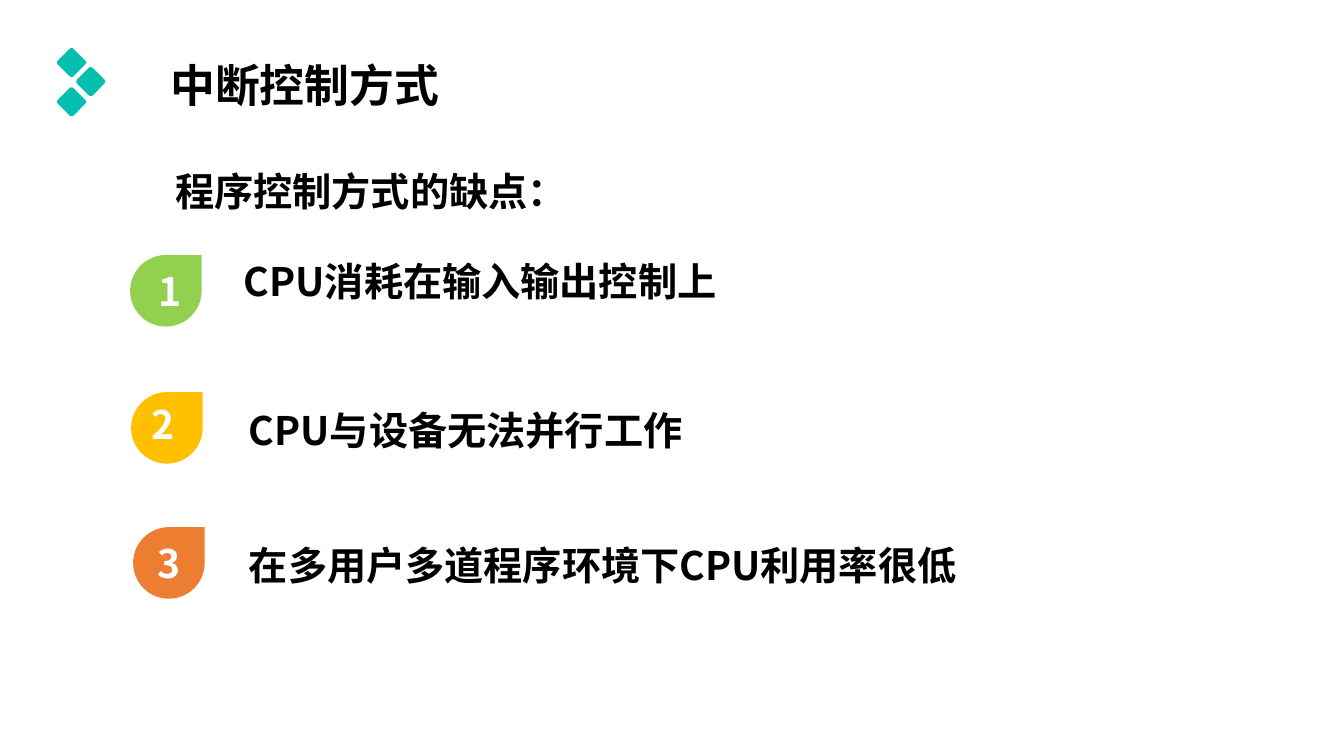
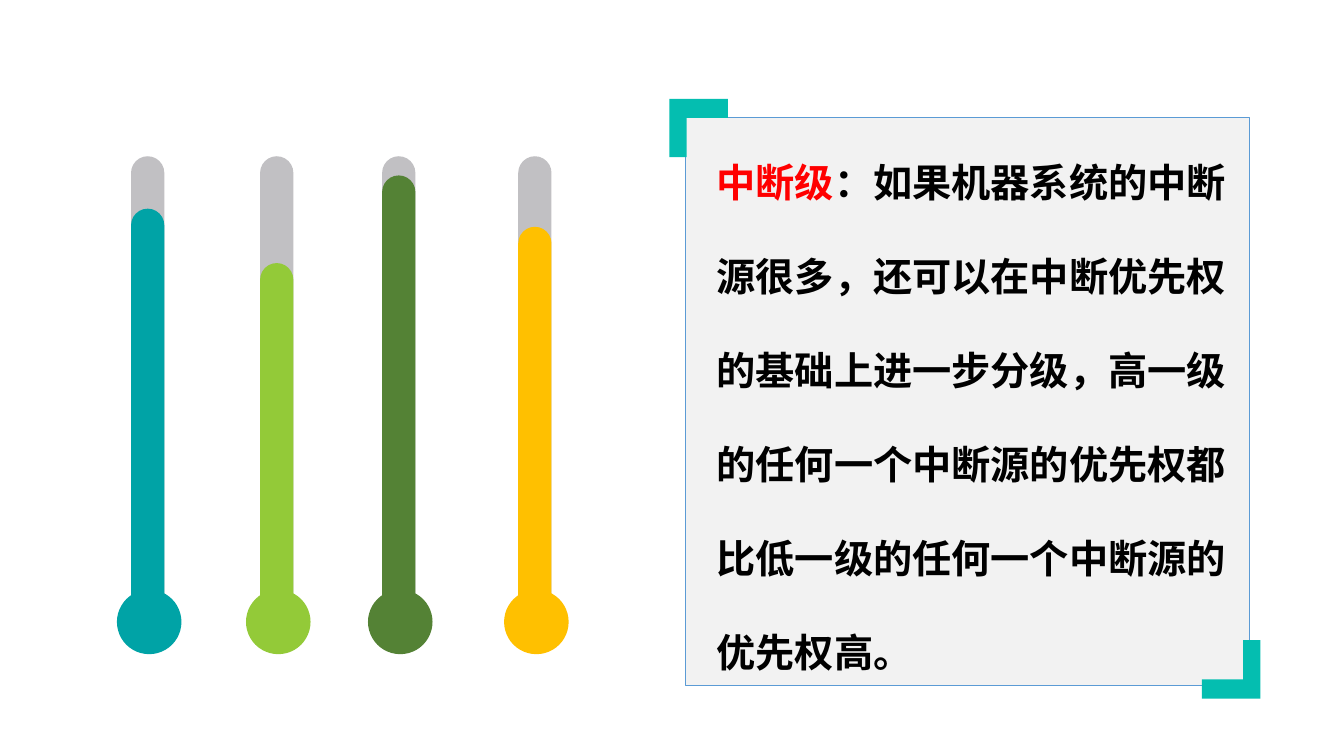
"""Build two slides on interrupt-driven input and output control."""
from dataclasses import dataclass

from lxml.etree import SubElement
from pptx import Presentation
from pptx.dml.color import RGBColor
from pptx.enum.shapes import MSO_SHAPE as Preset
from pptx.enum.text import MSO_ANCHOR as Anchor
from pptx.oxml.ns import qn
from pptx.shapes.autoshape import Shape
from pptx.slide import Slide
from pptx.util import Pt

PX = 9144
FONT = "Noto Sans CJK SC"
TEAL, BLACK, WHITE, RED = "04BEB0", "000000", "FFFFFF", "FF0000"
TUBE_GREY, PANEL_GREY, PANEL_EDGE = "C1C0C3", "F2F2F2", "5B9BD5"
TUBE_WIDTH, TUBE_TOP, TUBE_BOTTOM = 33, 155, 626
BULB_SIZE, BULB_TOP = 64, 585
BADGE_SIZE = 71


@dataclass(frozen=True)
class Box:
    left: int
    top: int
    width: int
    height: int


@dataclass(frozen=True)
class Span:
    text: str
    color: str = BLACK


@dataclass(frozen=True)
class Drawback:
    badge: tuple[int, int]
    color: str
    number: tuple[int, int]
    statement: Span
    place: Box
    spacing: float


@dataclass(frozen=True)
class Thermometer:
    left: int
    level: int
    color: str


DRAWBACKS = [
    Drawback((129, 253), "92D050", (147, 260), Span("CPU消耗在输入输出控制上"),
             Box(232, 256, 917, 66), 0.9),
    Drawback((130, 389), "FFC000", (140, 392), Span("CPU与设备无法并行工作"),
             Box(237, 375, 998, 81), 1.5),
    Drawback((132, 523), "ED7D31", (146, 530), Span("在多用户多道程序环境下CPU利用率很低"),
             Box(237, 509, 998, 81), 1.5),
]
THERMOMETERS = [
    Thermometer(130, 207, "00A3A6"),
    Thermometer(258, 261, "93CA38"),
    Thermometer(379, 174, "548235"),
    Thermometer(514, 225, "FFC000"),
]
INTERRUPT_LEVEL = [
    Span("中断级", RED),
    Span("：如果机器系统的中断源很多，还可以在中断优先权的基础上进一步分级，"
         "高一级的任何一个中断源的优先权都比低一级的任何一个中断源的优先权高。"),
]


def rgb(color: str) -> RGBColor:
    """Turn a hex string into a colour."""
    return RGBColor.from_string(color)


def emu(box: Box) -> tuple[int, int, int, int]:
    """Scale a box from px to EMU."""
    return box.left * PX, box.top * PX, box.width * PX, box.height * PX


def paint(shape: Shape, color: str) -> None:
    """Give a shape a flat fill without line or shadow."""
    shape.shadow.inherit = False
    shape.fill.solid()
    shape.fill.fore_color.rgb = rgb(color)
    shape.line.fill.background()


def add_preset(slide: Slide, preset: Preset, box: Box, color: str) -> Shape:
    """Draw a flat preset shape."""
    shape = slide.shapes.add_shape(preset, *emu(box))
    paint(shape, color)
    return shape


def add_text(slide: Slide, box: Box, spans: list[Span], size: int = 28,
             spacing: float = 1.0, anchor: Anchor = Anchor.TOP) -> None:
    """Write one bold paragraph in a wrapping text box."""
    frame = slide.shapes.add_textbox(*emu(box)).text_frame
    frame.word_wrap = True
    frame.vertical_anchor = anchor
    paragraph = frame.paragraphs[0]
    paragraph.line_spacing = spacing
    font = paragraph.font
    font.size, font.bold, font.name = Pt(size), True, FONT
    defaults = paragraph._p.pPr.find(qn("a:defRPr"))
    SubElement(defaults, qn("a:ea"), typeface=FONT)
    if len(spans) == 1:
        font.color.rgb = rgb(spans[0].color)
    for span in spans:
        run = paragraph.add_run()
        run.text = span.text
        if len(spans) > 1:
            run.font.color.rgb = rgb(span.color)


def add_title(slide: Slide, title: str) -> None:
    """Draw the title and its three diamonds."""
    add_text(slide, Box(159, 15, 1150, 145), [Span(title)], 32, 0.9, Anchor.MIDDLE)
    for left, top in ((60, 51), (79, 70), (60, 90)):
        diamond = add_preset(slide, Preset.ROUNDED_RECTANGLE, Box(left, top, 22, 22), TEAL)
        diamond.adjustments[0] = 0.12
        diamond.rotation = 45


def add_drawback(slide: Slide, number: int, drawback: Drawback) -> None:
    """Draw a numbered badge and its statement."""
    add_preset(slide, Preset.TEAR, Box(*drawback.badge, BADGE_SIZE, BADGE_SIZE),
               drawback.color)
    add_text(slide, Box(*drawback.number, 46, 57), [Span(str(number), WHITE)])
    add_text(slide, drawback.place, [drawback.statement], spacing=drawback.spacing)


def add_thermometer(slide: Slide, thermometer: Thermometer) -> None:
    """Draw a grey tube, its coloured level and the bulb."""
    for top, color in ((TUBE_TOP, TUBE_GREY), (thermometer.level, thermometer.color)):
        tube = add_preset(slide, Preset.ROUNDED_RECTANGLE,
                          Box(thermometer.left, top, TUBE_WIDTH, TUBE_BOTTOM - top), color)
        tube.adjustments[0] = 0.5
    add_preset(slide, Preset.OVAL,
               Box(thermometer.left - 14, BULB_TOP, BULB_SIZE, BULB_SIZE),
               thermometer.color)


def add_bracket(slide: Slide, left: int, top: int, direction: int) -> None:
    """Draw a corner bracket reaching inwards from its outer corner."""
    outline = [(58, 0), (58, 19), (17, 19), (17, 58), (0, 58)]
    builder = slide.shapes.build_freeform(left, top, scale=PX)
    builder.add_line_segments(
        [(left + direction * x, top + direction * y) for x, y in outline], close=True)
    paint(builder.convert_to_shape(), TEAL)


def build_drawbacks(slide: Slide) -> None:
    """Fill the slide on the drawbacks of program control."""
    add_title(slide, "中断控制方式")
    add_text(slide, Box(164, 148, 496, 88), [Span("程序控制方式的缺点：")],
             spacing=0.9, anchor=Anchor.MIDDLE)
    for number, drawback in enumerate(DRAWBACKS, start=1):
        add_drawback(slide, number, drawback)


def build_interrupt_levels(slide: Slide) -> None:
    """Fill the slide on interrupt levels."""
    for thermometer in THERMOMETERS:
        add_thermometer(slide, thermometer)
    panel = add_preset(slide, Preset.RECTANGLE, Box(680, 117, 559, 563), PANEL_GREY)
    panel.line.color.rgb = rgb(PANEL_EDGE)
    panel.line.width = Pt(0.75)
    add_text(slide, Box(701, 105, 544, 627), INTERRUPT_LEVEL, spacing=2.0)
    add_bracket(slide, 664, 98, 1)
    add_bracket(slide, 1250, 693, -1)


def main() -> None:
    """Build and save the presentation."""
    presentation = Presentation()
    presentation.slide_width, presentation.slide_height = 1333 * PX, 750 * PX
    blank = presentation.slide_layouts[6]
    for build in (build_drawbacks, build_interrupt_levels):
        build(presentation.slides.add_slide(blank))
    presentation.save("out.pptx")


if __name__ == "__main__":
    main()
